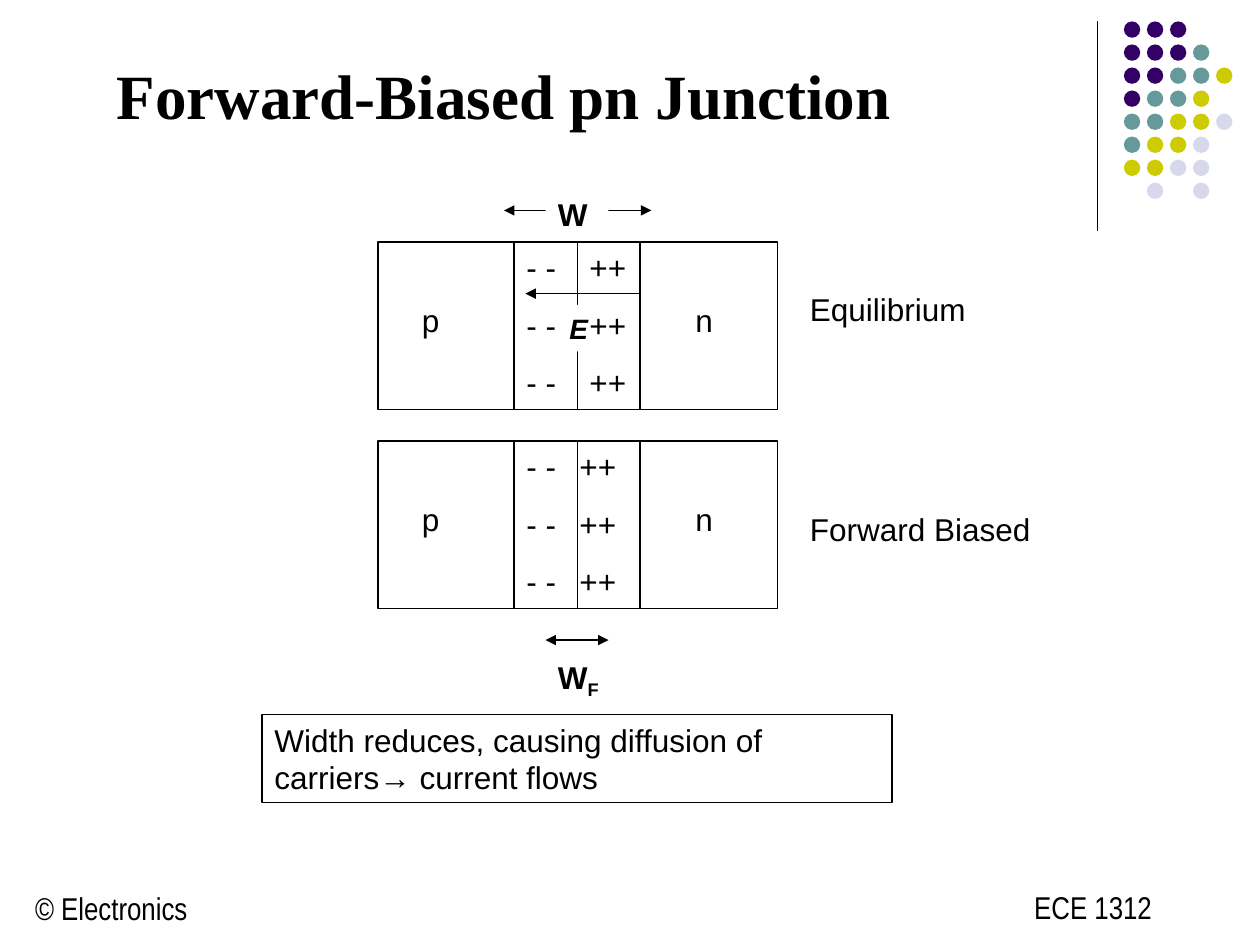
from pptx import Presentation
from pptx.dml.color import RGBColor as RGB
from pptx.enum.shapes import MSO_CONNECTOR as CONN, MSO_SHAPE as SHAPE
from pptx.enum.text import MSO_AUTO_SIZE as AUTO
from pptx.oxml.ns import qn
from pptx.util import Inches, Pt
from lxml.etree import SubElement

COLORS = {
    "ink": "000000", "paper": "FFFFFF",
    "P": "330066", "T": "669999", "Y": "CCCC00", "L": "D8D8EC",
}
RGBS = {name: RGB.from_string(code) for name, code in COLORS.items()}
BASE = {"name": "Arial", "size": Pt(18), "bold": False, "italic": False}

deck = Presentation()
deck.slide_width, deck.slide_height = Inches(10), Inches(7.5)
slide = deck.slides.add_slide(deck.slide_layouts[6])
shapes = slide.shapes


def add_line(x1, y1, x2, y2, ends=()):
    """Thin black line; ends names the ends that carry an arrowhead."""
    line = shapes.add_connector(
        CONN.STRAIGHT, Inches(x1), Inches(y1), Inches(x2), Inches(y2))
    line.line.color.rgb = RGBS["ink"]
    line.line.width = Pt(0.75)
    for end in ends:
        SubElement(line.line._get_or_add_ln(), qn(f"a:{end}"), type="triangle")
    SubElement(line._element.spPr, qn("a:effectLst"))
    return line


def add_box(left, top, width, height, lines, fill=None, edge=False,
            gap=11.2, **style):
    """Rectangle with one paragraph for each entry in lines."""
    box = shapes.add_textbox(
        Inches(left), Inches(top), Inches(width), Inches(height))
    if fill:
        box.fill.solid()
        box.fill.fore_color.rgb = RGBS[fill]
    if edge:
        box.line.color.rgb = RGBS["ink"]
        box.line.width = Pt(0.75)
    frame = box.text_frame
    frame.word_wrap = True
    frame.auto_size = AUTO.SHAPE_TO_FIT_TEXT
    for i, text in enumerate(lines):
        para = frame.add_paragraph() if i else frame.paragraphs[0]
        para.space_before = Pt(gap)
        run = para.add_run()
        run.text = text
        for key, value in {**BASE, **style}.items():
            setattr(run.font, key, value)
        run.font.color.rgb = RGBS["ink"]
    return box


# Corner rule and dot pattern
add_line(8.71, 0.17, 8.71, 1.83)
DOTS = ["PPP", "PPPT", "PPTTY", "PTTY", "TTYYL", "TYYL", "YYLL", " L L"]
step = 1.28 / 7
for row, marks in enumerate(DOTS):
    for col, mark in enumerate(marks):
        if mark == " ":
            continue
        dot = shapes.add_shape(
            SHAPE.OVAL, Inches(8.92 + col * step), Inches(0.17 + row * step),
            Inches(0.13), Inches(0.13))
        dot.shadow.inherit = False
        dot.fill.solid()
        dot.fill.fore_color.rgb = RGBS[mark]
        dot.line.fill.background()

# Footer
for left, top, width, text in [(0.18, 7.01, 1.5, "© Electronics"),
                               (8.11, 7, 1.22, "ECE 1312")]:
    add_box(left, top, width, 0.4, [text], gap=0, name="Arial Narrow")

# Two junctions: top, left and width of the plus signs, label and its top
PANELS = [(1.92, 4.58, 0.5, "Equilibrium", 2.25),
          (3.5, 4.5, 0.58, "Forward Biased", 4)]
high = 1.33
for top, plus, wide, label, label_top in PANELS:
    body = shapes.add_shape(
        SHAPE.RECTANGLE, Inches(3), Inches(top), Inches(3.17), Inches(high))
    body.shadow.inherit = False
    body.fill.background()
    body.line.color.rgb = RGBS["ink"]
    body.line.width = Pt(0.75)
    for x in (4.08, 5.08):
        add_line(x, top, x, top + high)
    add_box(plus, top, wide, 1.32, ["++"] * 3)
    add_box(4.08, top, 0.5, 1.32, ["- -"] * 3)
    middle = add_line(4.58, top, 4.58, top + high)
    middle.begin_connect(body, 0)
    middle.end_connect(body, 2)
    for x, side in [(3.25, "p"), (5.42, "n")]:
        add_box(x, top + 0.42, 0.42, 0.4, [side])
    add_box(6.33, label_top, 2.5, 0.4, [label])

# Depletion widths and the field
both = ("headEnd", "tailEnd")
add_line(4, 1.67, 5.17, 1.67, both)
add_box(4.33, 1.5, 0.5, 0.4, ["W"], fill="paper", bold=True)
add_line(5.08, 2.33, 4.17, 2.33, ["tailEnd"])
add_box(4.42, 2.42, 0.25, 0.37, ["E"], fill="paper", gap=10,
        size=Pt(16), bold=True, italic=True)
add_line(4.33, 5.08, 4.83, 5.08, both)
biased = add_box(4.33, 5.17, 0.67, 0.44, ["W"], fill="paper", bold=True)
sub = biased.text_frame.paragraphs[0].add_run()
sub.text = "F"
for key, value in {**BASE, "bold": True}.items():
    setattr(sub.font, key, value)
sub.font.color.rgb = RGBS["ink"]
sub.font._element.set("baseline", "-25000")

# Conclusion and title
add_box(2.08, 5.67, 5, 0.7,
        ["Width reduces, causing diffusion of carriers→ current flows"],
        edge=True)
add_box(0.83, 0.4, 7.58, 0.7, ["Forward-Biased pn Junction"], gap=22.5,
        name="Times New Roman", size=Pt(36), bold=True)

deck.save("out.pptx")
